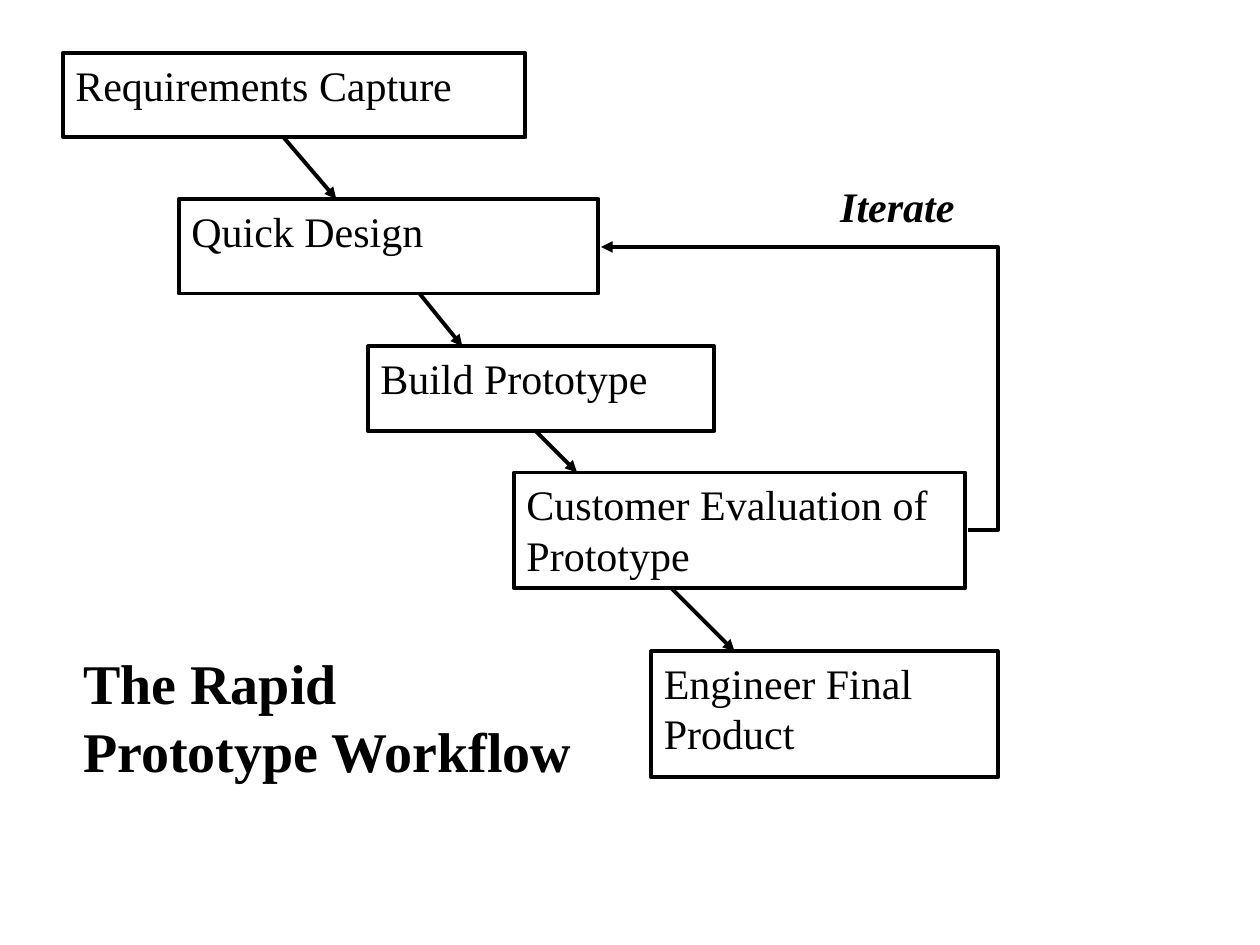
from lxml import etree
from pptx import Presentation
from pptx.dml.color import RGBColor
from pptx.enum.shapes import MSO_CONNECTOR, MSO_SHAPE
from pptx.enum.text import MSO_ANCHOR, MSO_AUTO_SIZE, PP_ALIGN
from pptx.oxml.ns import qn
from pptx.util import Inches, Pt

STRAIGHT, ELBOW = MSO_CONNECTOR.STRAIGHT, MSO_CONNECTOR.ELBOW
RECTANGLE = MSO_SHAPE.RECTANGLE
TOP, LEFT = MSO_ANCHOR.TOP, PP_ALIGN.LEFT
NO_AUTOFIT = MSO_AUTO_SIZE.NONE

FONT = "Times New Roman"
COLORS = {"ink": "000000"}
INK = RGBColor.from_string(COLORS["ink"])
LINE_WIDTH = Pt(2.25)


def write_text(shape, text, size=24, bold=False, italic=False, wrap=True):
    """Fill a shape with top-left text, one paragraph per line."""
    frame = shape.text_frame
    frame.text = text
    frame.word_wrap = wrap
    frame.auto_size = NO_AUTOFIT
    frame.vertical_anchor = TOP
    for paragraph in frame.paragraphs:
        paragraph.alignment = LEFT
        font = paragraph.font
        font.name, font.size = FONT, Pt(size)
        font.bold, font.italic = bold, italic
        font.color.rgb = INK


def add_arrow(kind, start, end):
    arrow = slide.shapes.add_connector(
        kind, *(Inches(value) for value in (*start, *end)))
    arrow.line.color.rgb = INK
    arrow.line.width = LINE_WIDTH
    properties = arrow.element.spPr
    line = properties.find(qn("a:ln"))
    etree.SubElement(line, qn("a:tailEnd"), type="triangle")
    etree.SubElement(properties, qn("a:effectLst"))
    return arrow


presentation = Presentation()
presentation.slide_width, presentation.slide_height = Inches(10), Inches(7.5)
slide = presentation.slides.add_slide(presentation.slide_layouts[5])

title = slide.shapes.title
title.left, title.top = Inches(0.56), Inches(5.1)
title.width, title.height = Inches(4.12), Inches(1.17)
write_text(title, "The Rapid\nPrototype Workflow", size=32, bold=True, wrap=False)

# text, left, top, width, height
steps = [
    ("Requirements Capture", 0.5, 0.42, 3.67, 0.67),
    ("Quick Design", 1.42, 1.58, 3.33, 0.75),
    ("Build Prototype", 2.92, 2.75, 2.75, 0.67),
    ("Customer Evaluation of\nPrototype", 4.08, 3.75, 3.58, 0.92),
    ("Engineer Final\nProduct", 5.17, 5.17, 2.75, 1),
]
for text, *bounds in steps:
    box = slide.shapes.add_shape(RECTANGLE, *(Inches(value) for value in bounds))
    box.shadow.inherit = False
    box.fill.background()
    box.line.color.rgb = INK
    box.line.width = LINE_WIDTH
    write_text(box, text, wrap=False)

# Each arrow runs from the bottom of one step to the top of the next
arrow_ends = [(2.25, 2.67), (3.33, 3.67), (4.25, 4.58), (5.33, 5.83)]
for step, next_step, (start_x, end_x) in zip(steps, steps[1:], arrow_ends):
    _, _, top, _, height = step
    add_arrow(STRAIGHT, (start_x, top + height), (end_x, next_step[2]))

feedback = add_arrow(ELBOW, (7.68, 4.21), (4.77, 1.96))
# A negative bend position takes the loop out to the right of its start
adjustments = feedback.element.spPr.find(qn("a:prstGeom")).get_or_add_avLst()
etree.SubElement(adjustments, qn("a:gd"), name="adj1", fmla="val -8200")

iterate_label = slide.shapes.add_textbox(
    Inches(6.57), Inches(1.38), Inches(1.1), Inches(0.5))
write_text(iterate_label, "Iterate", bold=True, italic=True, wrap=False)

presentation.save("out.pptx")
